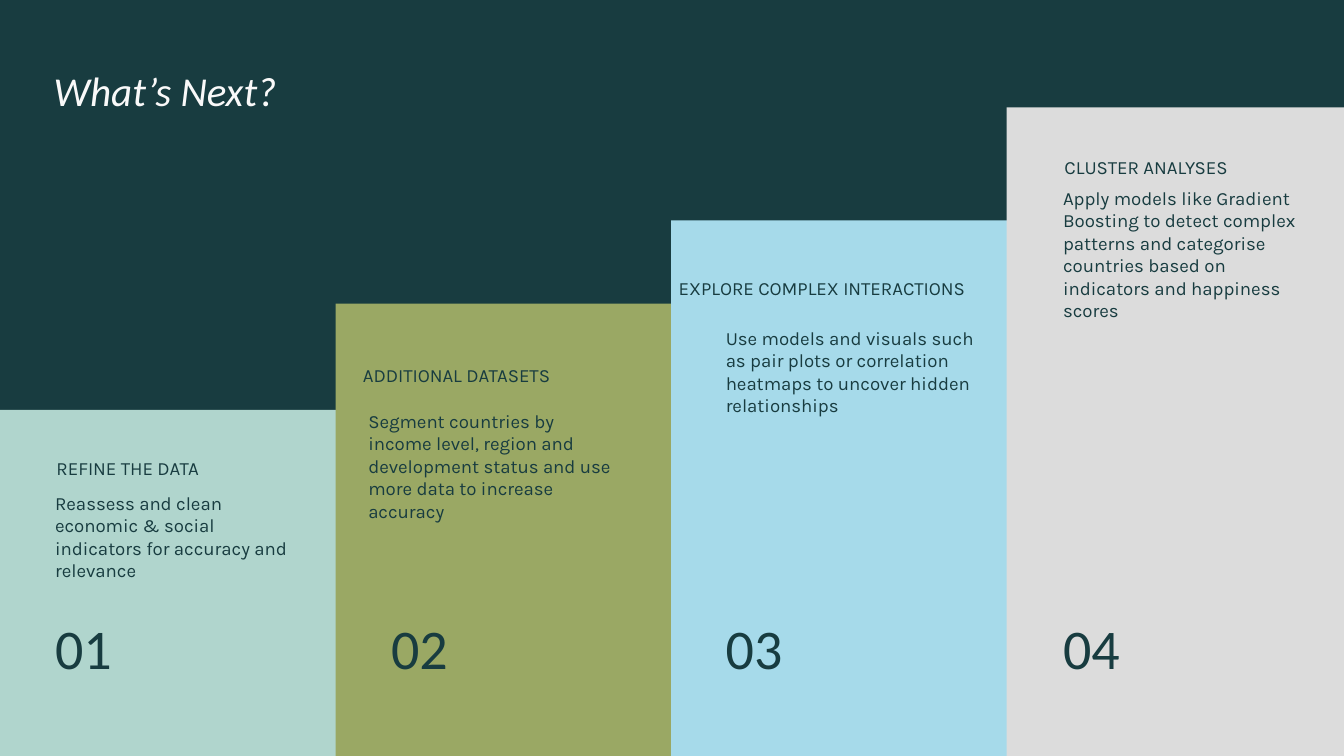
import pptx
import pptx.dml.color
import pptx.enum.shapes
import pptx.enum.text
import pptx.util

Inches = pptx.util.Inches
RGBColor = pptx.dml.color.RGBColor
Anchor = pptx.enum.text.MSO_ANCHOR

DARK = RGBColor(0x18, 0x3C, 0x40)
WHITE = RGBColor(0xF9, 0xF9, 0xF9)
MINT = RGBColor(0xB0, 0xD5, 0xCD)
OLIVE = RGBColor(0x9A, 0xA8, 0x64)
SKY = RGBColor(0xA6, 0xDA, 0xEA)
GREY = RGBColor(0xDC, 0xDC, 0xDC)

WIDTH = 10
HEIGHT = WIDTH * 9 / 16
STEP_WIDTH = 2.51

# Per step: colour, top, number left, heading (text, box, line spacing), body (text, box)
STEPS = [
    (MINT, 3.05, 0.41,
     ("REFINE THE DATA", (0.42, 3.42, 1.38, 0.17), 0.9),
     ("Reassess and clean economic & social indicators for accuracy and relevance",
      (0.41, 3.66, 1.85, 1.06))),
    (OLIVE, 2.26, 2.91,
     ("ADDITIONAL DATASETS", (2.7, 2.71, 2.25, 0.41), 1),
     ("Segment countries by income level, region and development status "
      "and use more data to increase accuracy",
      (2.74, 3.05, 1.85, 1.56))),
    (SKY, 1.64, 5.4,
     ("EXPLORE COMPLEX INTERACTIONS", (5.05, 2.06, 2.39, 0.17), 1),
     ("Use models and visuals such as pair plots or correlation heatmaps "
      "to uncover hidden relationships",
      (5.4, 2.43, 1.85, 1.77))),
    (GREY, 0.8, 7.91,
     ("CLUSTER ANALYSES", (7.92, 1.16, 1.38, 0.17), 1),
     ("Apply models like Gradient Boosting to detect complex patterns and "
      "categorise countries based on indicators and happiness scores",
      (7.91, 1.39, 1.85, 2.4))),
]


class StairSlide:
    display_font = "Calibri"
    text_font = "Karla"

    def __init__(self, deck):
        self.slide = deck.slides.add_slide(deck.slide_layouts[6])
        fill = self.slide.background.fill
        fill.solid()
        fill.fore_color.rgb = DARK

    def block(self, left, top, width, height, color):
        shape = self.slide.shapes.add_shape(
            pptx.enum.shapes.MSO_SHAPE.RECTANGLE,
            *map(Inches, (left, top, width, height)))
        shape.shadow.inherit = False
        shape.fill.solid()
        shape.fill.fore_color.rgb = color
        shape.line.fill.background()

    def text(self, words, place, size=10, font=text_font, color=DARK,
             spacing=1, anchor=Anchor.TOP, italic=False, right=0):
        box = self.slide.shapes.add_textbox(*map(Inches, place))
        frame = box.text_frame
        frame.word_wrap = True
        frame.vertical_anchor = anchor
        frame.margin_left = frame.margin_top = frame.margin_bottom = 0
        frame.margin_right = Inches(right)
        para = frame.paragraphs[0]
        para.line_spacing = float(spacing)
        span = para.add_run()
        span.text = words
        span.font.name = font
        span.font.size = pptx.util.Pt(size)
        span.font.italic = italic
        span.font.color.rgb = color

    def title(self, words):
        self.text(words, (0.4, 0.49, 3.53, 0.83), size=22,
                  font=self.display_font, color=WHITE, italic=True)

    def number(self, value, left):
        self.text(f"{value:02d}", (left, 4.9, 0.74, 0.17), size=30,
                  font=self.display_font, spacing=0.9, anchor=Anchor.BOTTOM,
                  right=0.1)


def main():
    deck = pptx.Presentation()
    deck.slide_width = Inches(WIDTH)
    deck.slide_height = Inches(HEIGHT)
    page = StairSlide(deck)

    pitch = (WIDTH - STEP_WIDTH) / (len(STEPS) - 1)
    for index, (color, top, *_) in enumerate(STEPS):
        page.block(index * pitch, top, STEP_WIDTH, HEIGHT - top, color)
    for value, (_, _, left, *_) in enumerate(STEPS, start=1):
        page.number(value, left)
    page.title("What’s Next?")
    for *_, (heading, place, spacing), body in STEPS:
        page.text(heading, place, spacing=spacing)
        page.text(*body)

    deck.save("out.pptx")


if __name__ == "__main__":
    main()
